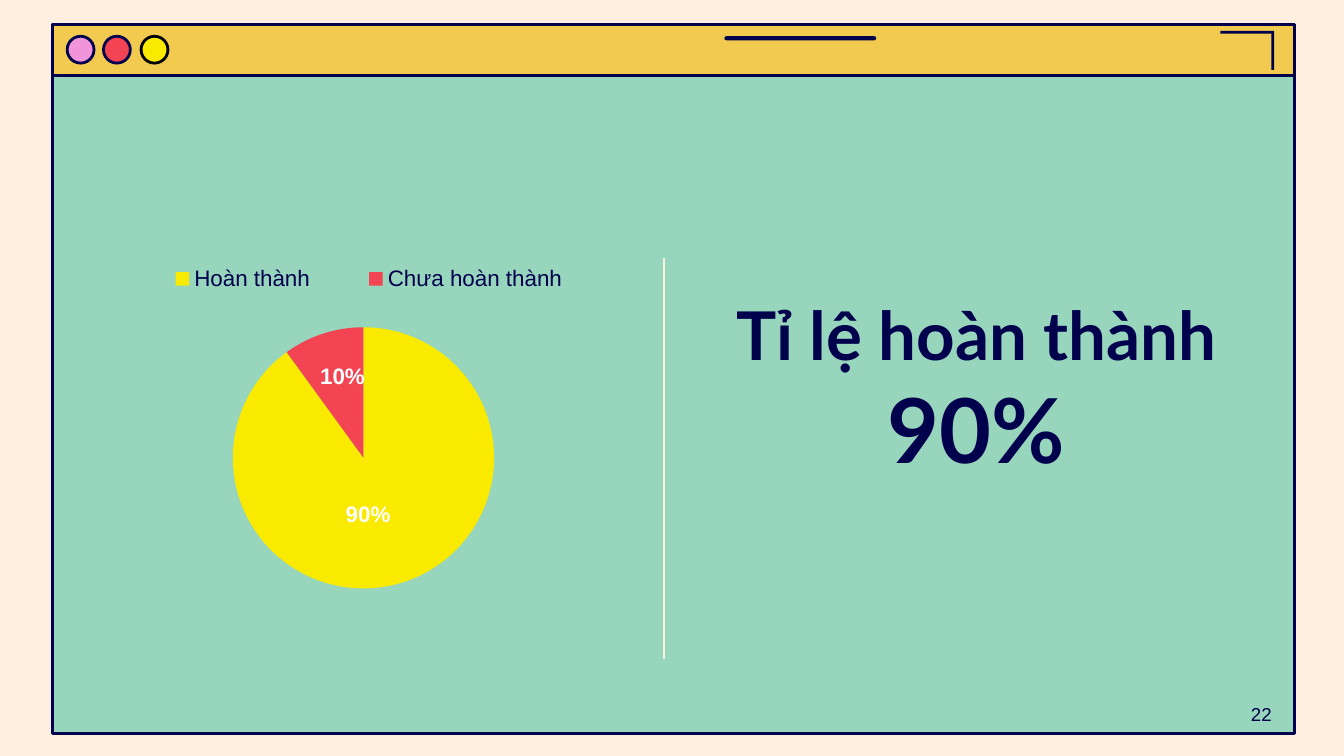
from lxml import etree
from pptx import Presentation
from pptx.chart.data import CategoryChartData
from pptx.dml.color import RGBColor
from pptx.enum.chart import XL_CHART_TYPE as CT, XL_LABEL_POSITION as LP, XL_LEGEND_POSITION as LEG
from pptx.enum.shapes import MSO_CONNECTOR as CONN, MSO_SHAPE as SHAPE
from pptx.enum.text import MSO_ANCHOR as ANCHOR, PP_ALIGN as ALIGN
from pptx.oxml import parse_xml
from pptx.oxml.ns import nsdecls, qn
from pptx.util import Inches, Pt

# Content
TITLE = [("Tỉ lệ hoàn thành ", "title"), ("90%", "figure")]
PAGE = "22"
# category, value, colour, label offset as a share of the chart
SLICES = [("Hoàn thành", 90, "yellow", (-0.02, -0.12)),
          ("Chưa hoàn thành", 10, "red", (-0.01, 0.06))]
BUTTONS = [("pink", "navy"), ("red", "navy"), ("yellow", "black")]

THEME = {
    "colors": {"cream": "FFEFE1", "mint": "97D5BC", "gold": "F3CA50", "navy": "00004D",
               "pink": "F294D9", "red": "F24452", "yellow": "FAEA00",
               "black": "000000", "white": "FFFFFF"},
    "sizes": {"title": 36, "figure": 48, "chart": 12, "page": 10},
    "heading": "Lato", "body": "Arial", "line": 1.5,
}

# Layout, in inches
SLIDE_W = 10
WIN_X, WIN_Y, WIN_W, WIN_H, BAR_H = 0.39, 0.18, 9.24, 5.28, 0.38
BUTTON_Y, BUTTON_D = 0.27, 0.2
BUTTON_XS = [0.5, 0.77, 1.05]
CORNER = [(9.08, 0.23), (9.48, 0.23), (9.48, 0.52), (9.46, 0.52), (9.46, 0.25), (9.08, 0.25)]


def color(name):
    return RGBColor.from_string(THEME["colors"][name])


def style_font(font, size, name="navy", face="body", bold=False):
    font.size, font.name, font.bold = Pt(THEME["sizes"][size]), THEME[face], bold
    font.color.rgb = color(name)


def paint(sp, fill, line=None):
    sp.shadow.inherit = False
    sp.fill.solid()
    sp.fill.fore_color.rgb = color(fill)
    if line:
        sp.line.color.rgb = color(line)
        sp.line.width = Pt(THEME["line"])
    else:
        sp.line.fill.background()


def add_box(slide, kind, box, fill, line=None):
    sp = slide.shapes.add_shape(kind, *map(Inches, box))
    paint(sp, fill, line)
    return sp


def set_insets(tf):
    tf.word_wrap = True
    tf.margin_left = tf.margin_right = tf.margin_top = tf.margin_bottom = Inches(0.1)


def layout_xml(target="", **parts):
    inner = f'<c:layoutTarget val="{target}"/>' if target else ""
    if "w" in parts:
        inner += '<c:xMode val="edge"/><c:yMode val="edge"/>'
    inner += "".join(f'<c:{k} val="{v}"/>' for k, v in parts.items())
    return parse_xml(f'<c:layout {nsdecls("c")}><c:manualLayout>{inner}</c:manualLayout></c:layout>')


def put_layout(parent, layout, index):
    for old in parent.findall(qn("c:layout")):
        parent.remove(old)
    parent.insert(index, layout)


def draw_window(slide):
    add_box(slide, SHAPE.RECTANGLE, (WIN_X, WIN_Y, WIN_W, WIN_H), "mint", "navy")
    add_box(slide, SHAPE.RECTANGLE, (WIN_X, WIN_Y, WIN_W, BAR_H), "gold", "navy")
    # Corner bracket and handle
    points = [(Inches(x), Inches(y)) for x, y in CORNER]
    builder = slide.shapes.build_freeform(*points[0], scale=1.0)
    builder.add_line_segments(points[1:], close=True)
    paint(builder.convert_to_shape(), "navy")
    handle = add_box(slide, SHAPE.ROUNDED_RECTANGLE, (5.39, 0.27, 1.13, 0.03), "navy")
    handle.adjustments[0] = 0.5
    # Window buttons
    for x, (fill, line) in zip(BUTTON_XS, BUTTONS):
        add_box(slide, SHAPE.OVAL, (x, BUTTON_Y, BUTTON_D, BUTTON_D), fill, line)


def draw_title(slide):
    sp = slide.shapes.title
    sp.left, sp.top, sp.width, sp.height = map(Inches, (5.31, 2.08, 3.91, 2.29))
    tf = sp.text_frame
    set_insets(tf)
    tf.vertical_anchor = ANCHOR.TOP
    p = tf.paragraphs[0]
    p.alignment, p.line_spacing = ALIGN.CENTER, 1.0
    for text, size in TITLE:
        r = p.add_run()
        r.text = text
        style_font(r.font, size, face="heading", bold=True)


def draw_divider(slide):
    line = slide.shapes.add_connector(CONN.STRAIGHT, *map(Inches, (4.94, 1.92, 4.94, 4.9)))
    line.line.color.rgb = color("cream")
    line.line.width = Pt(THEME["line"])
    etree.SubElement(line._element.spPr, qn("a:effectLst"))


def draw_chart(slide):
    data = CategoryChartData()
    data.categories = [s[0] for s in SLICES]
    data.add_series("Series 1", [s[1] for s in SLICES])
    box = map(Inches, (0.68, 1.75, 4.05, 2.96))
    chart = slide.shapes.add_chart(CT.PIE, *box, data).chart
    chart.has_title = False
    style_font(chart.font, "page")
    # Legend
    chart.has_legend = True
    legend = chart.legend
    legend.position, legend.include_in_layout = LEG.TOP, False
    style_font(legend.font, "chart")
    put_layout(legend._element, layout_xml(x=0.06, y=0.06, w=0.9, h=0.1), 1)
    # Pie area
    plot = chart.plots[0]
    plot.vary_by_categories = True
    area = chart._chartSpace.chart.plotArea
    put_layout(area, layout_xml("inner", x=0.26, y=0.23, w=0.48, h=0.66), 0)
    # Slices and labels
    series = plot.series[0]
    labels = series.data_labels
    labels.show_percentage, labels.show_value = True, False
    labels.number_format, labels.number_format_is_linked = "0%", False
    labels.position = LP.INSIDE_END
    style_font(labels.font, "chart", "white", bold=True)
    for i, (_, _, fill, (dx, dy)) in enumerate(SLICES):
        point = series.points[i]
        point.format.fill.solid()
        point.format.fill.fore_color.rgb = color(fill)
        point.format.line.fill.background()
        label = point.data_label
        style_font(label.font, "chart", "white", bold=True)
        label.position = LP.INSIDE_END
        d = labels._element.findall(qn("c:dLbl"))[i]
        put_layout(d, layout_xml(x=dx, y=dy), 1)
        for tag, on in (("c:showVal", 0), ("c:showCatName", 0), ("c:showPercent", 1)):
            d.find(qn(tag)).set("val", str(on))


def draw_page_number(slide):
    tf = slide.shapes.add_textbox(*map(Inches, (9, 5.1, 0.56, 0.43))).text_frame
    set_insets(tf)
    tf.vertical_anchor = ANCHOR.MIDDLE
    p = tf.paragraphs[0]
    p.alignment = ALIGN.RIGHT
    r = p.add_run()
    r.text = PAGE
    style_font(r.font, "page")


def main():
    prs = Presentation()
    # Widescreen, 16:9
    prs.slide_width, prs.slide_height = Inches(SLIDE_W), Inches(SLIDE_W * 9 / 16)
    slide = prs.slides.add_slide(prs.slide_layouts[5])
    slide.background.fill.solid()
    slide.background.fill.fore_color.rgb = color("cream")
    draw_window(slide)
    draw_title(slide)
    # Bring the title in front of the window
    slide.shapes._spTree.append(slide.shapes.title._element)
    draw_divider(slide)
    draw_chart(slide)
    draw_page_number(slide)
    prs.save("out.pptx")


if __name__ == "__main__":
    main()
